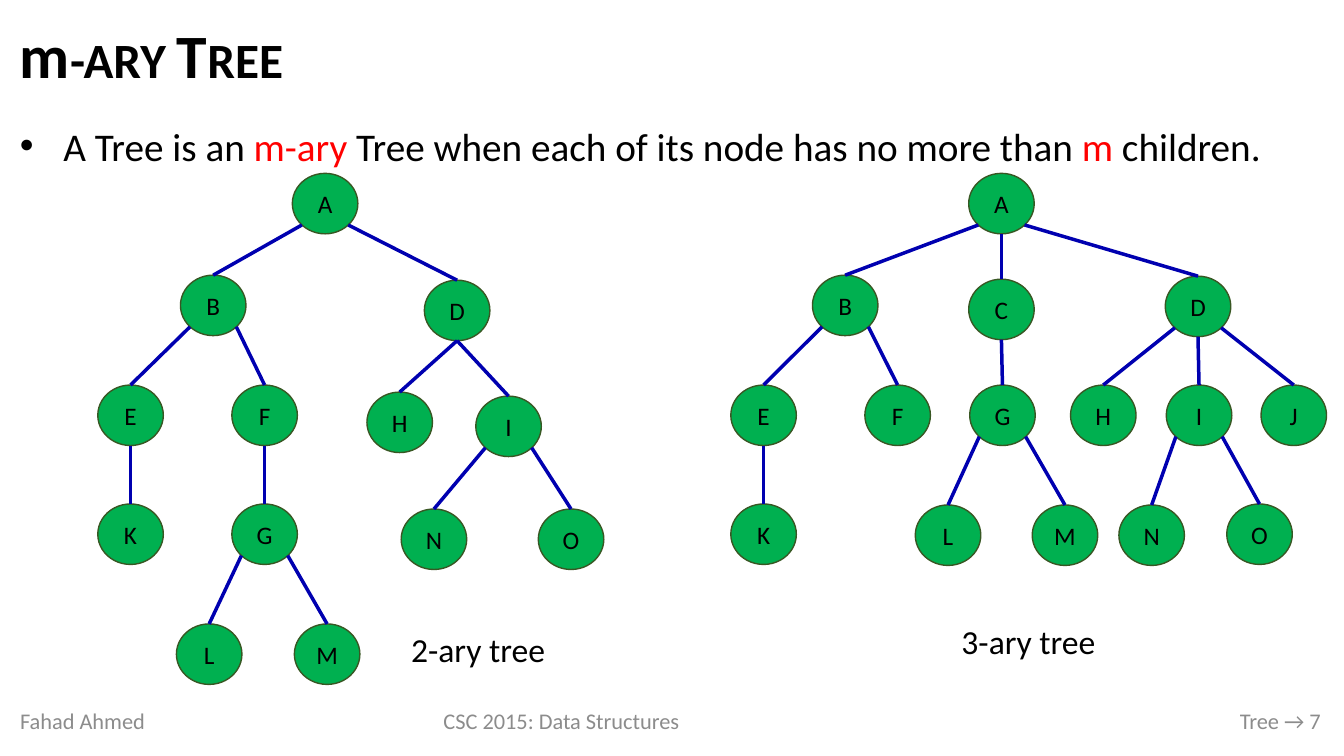
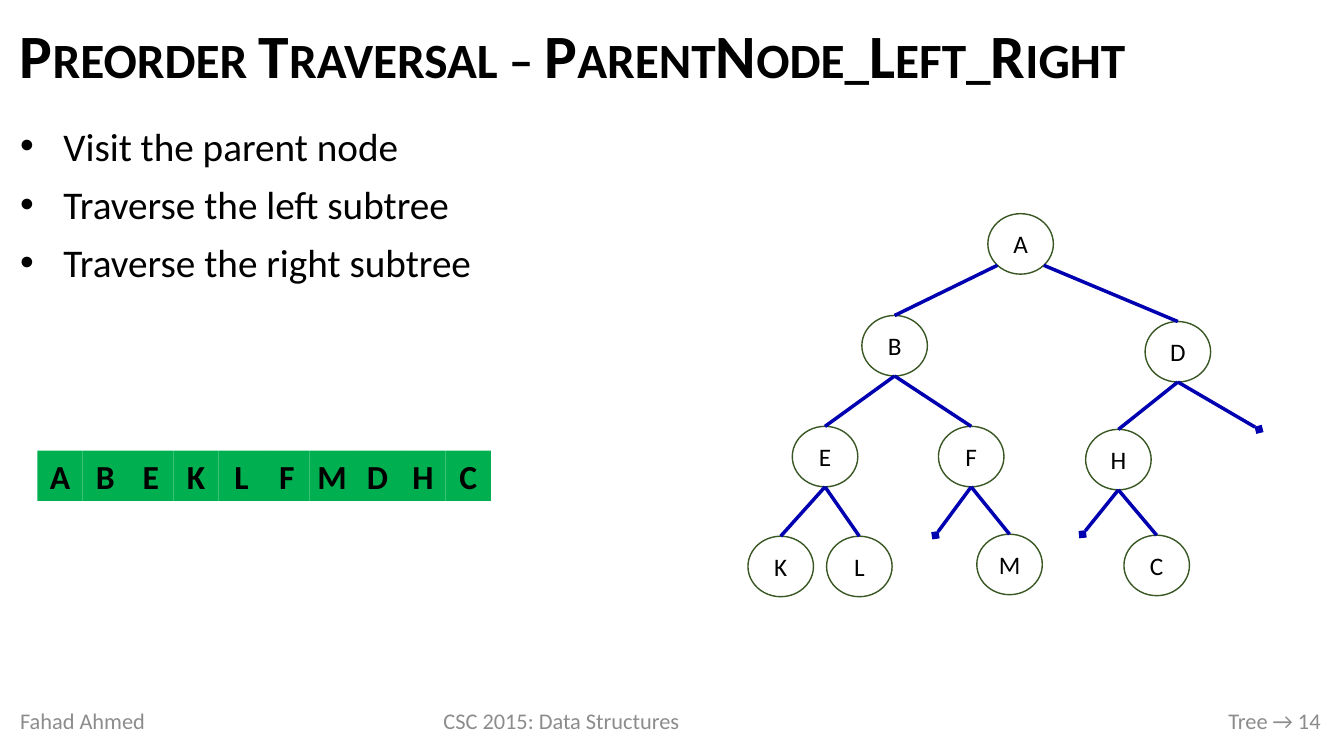
from dataclasses import dataclass
from typing import Any, NamedTuple, Optional

import pptx
import pptx.dml.color
import pptx.enum.shapes
import pptx.enum.text
import pptx.oxml
import pptx.oxml.ns
import pptx.util

# The grid has ten columns and ten rows to the inch.
CELL = 0.1
SLIDE_COLUMNS, SLIDE_ROWS = 133.33, 75

BLACK, RED, GREY = "000000", "FF0000", "8C8C8C"
GREEN, DARK_GREEN, BLUE = "00B050", "385723", "0000B0"
FONT = "Calibri"

NODE_WIDTH, NODE_HEIGHT = 6.5, 6
DIAGONAL = 0.5 ** 0.5 / 2
# Where an edge leaves its parent, as shares of the node's size.
EDGE_STARTS = {
    "<": (0.5 - DIAGONAL, 0.5 + DIAGONAL),
    "|": (0.5, 1),
    ">": (0.5 + DIAGONAL, 0.5 + DIAGONAL),
}

ALIGN = pptx.enum.text.PP_ALIGN
ANCHOR = pptx.enum.text.MSO_ANCHOR
SHAPE = pptx.enum.shapes.MSO_SHAPE


class Span(NamedTuple):
    text: str
    color: str = BLACK
    small_caps: bool = False


class Box(NamedTuple):
    left: float
    top: float
    width: float
    height: float


class Point(NamedTuple):
    column: float
    row: float


class Footer(NamedTuple):
    box: Box
    alignment: Any
    text: str


@dataclass(frozen=True)
class Tree:
    """Nodes by label, edges as parent, start side and child, and empty links."""
    nodes: dict[str, Point]
    edges: str
    fill: Optional[str] = GREEN
    empty_links: tuple[tuple[str, Point], ...] = ()


TITLE_BOX = Box(1, 1.1, 131, 9.5)
FOOTERS = (
    Footer(Box(1, 69.5, 24.1, 4), ALIGN.LEFT, "Fahad Ahmed"),
    Footer(Box(38.9, 69.5, 33.6, 4), ALIGN.CENTER, "CSC 2015: Data Structures"),
    Footer(Box(77.1, 69.5, 54.9, 4), ALIGN.RIGHT, "Tree → {number}"),
)

BINARY_TREE = Tree(
    nodes={
        "A": Point(29, 17.2),
        "B": Point(17.9, 27.3), "D": Point(42.1, 27.8),
        "E": Point(9.7, 38.2), "F": Point(23, 38.2),
        "H": Point(36.4, 38.9), "I": Point(47.2, 39.3),
        "K": Point(9.7, 50), "G": Point(23, 50),
        "N": Point(39.8, 50.5), "O": Point(53.4, 50.5),
        "L": Point(17.5, 61.9), "M": Point(29.2, 61.9),
    },
    edges="A<B A>D B<E B>F D|H D|I E|K F|G I<N I>O G<L G>M",
)
TERNARY_TREE = Tree(
    nodes={
        "A": Point(96.1, 17.2),
        "B": Point(80.6, 27.3), "C": Point(96.1, 27.7), "D": Point(115.6, 27.4),
        "E": Point(72.5, 38.2), "F": Point(85.8, 38.2), "G": Point(96.2, 38.2),
        "H": Point(106.2, 38.2), "I": Point(115.7, 38.2), "J": Point(125.1, 38.2),
        "K": Point(72.5, 50), "L": Point(90.8, 50.1), "M": Point(102.4, 50.1),
        "N": Point(111, 50.1), "O": Point(121.7, 50),
    },
    edges="A<B A|C A>D B<E B>F C|G D<H D|I D>J E|K G<L G>M I<N I>O",
)
TRAVERSED_TREE = Tree(
    nodes={
        "A": Point(98, 21.2),
        "B": Point(85.5, 31.3), "D": Point(113.6, 31.9),
        "E": Point(78.6, 42.3), "F": Point(93.1, 42.3), "H": Point(107.7, 42.6),
        "K": Point(74.2, 53.2), "L": Point(82, 53.2),
        "M": Point(96.9, 53), "C": Point(111.5, 53.1),
    },
    edges="A<B A>D B|E B|F D|H E|K E|L F|M H|C",
    fill=None,
    empty_links=(
        ("F", Point(92.8, 53.1)),
        ("D", Point(124.9, 42.6)),
        ("H", Point(107.4, 53)),
    ),
)


def grid(*cells: float) -> list[int]:
    return [pptx.util.Inches(cell * CELL) for cell in cells]


def rgb(color: str) -> pptx.dml.color.RGBColor:
    return pptx.dml.color.RGBColor.from_string(color)


def apply(target: Any, values: dict[str, Any]) -> None:
    for name, value in values.items():
        setattr(target, name, value)


def add_element(parent: Any, tag: str, **attributes: str) -> Any:
    element = pptx.oxml.parse_xml(f"<a:{tag} {pptx.oxml.ns.nsdecls('a')}/>")
    for name, value in attributes.items():
        element.set(name, value)
    parent.append(element)
    return element


def write_spans(paragraph: Any, spans: list[Span], size: float, bold: bool = False) -> None:
    for span in spans:
        run = paragraph.add_run()
        run.text = span.text
        apply(run.font, {"name": FONT, "size": pptx.util.Pt(size), "bold": bold})
        run.font.color.rgb = rgb(span.color)
        if span.small_caps:
            run._r.get_or_add_rPr().set("cap", "small")


def add_text(slide: Any, box: Box, spans: list[Span], size: float, bold: bool = False,
             anchor: Any = ANCHOR.TOP, **paragraph_format: Any) -> None:
    frame = slide.shapes.add_textbox(*grid(*box)).text_frame
    apply(frame, {"word_wrap": True, "vertical_anchor": anchor})
    paragraph = frame.paragraphs[0]
    apply(paragraph, paragraph_format)
    write_spans(paragraph, spans, size, bold)


def add_bullets(slide: Any, box: Box, items: list[list[Span]]) -> None:
    frame = slide.shapes.add_textbox(*grid(*box)).text_frame
    frame.word_wrap = True
    gap = pptx.util.Pt(4)
    indent = pptx.util.Inches(0.43)
    for index, spans in enumerate(items):
        paragraph = frame.add_paragraph() if index else frame.paragraphs[0]
        apply(paragraph, {"alignment": ALIGN.JUSTIFY, "space_before": gap, "space_after": gap})
        properties = paragraph._p.get_or_add_pPr()
        properties.set("marL", str(indent))
        properties.set("indent", str(-indent))
        add_element(add_element(properties, "buClr"), "srgbClr", val=BLACK)
        add_element(properties, "buFont", typeface="Arial")
        add_element(properties, "buChar", char="•")
        write_spans(paragraph, spans, 28)


def add_letter(slide: Any, kind: Any, box: Box, letter: str, size: float,
               fill: Optional[str], outline: Optional[str] = None, bold: bool = False) -> None:
    """Draw a shape with one centred letter."""
    shape = slide.shapes.add_shape(kind, *grid(*box))
    shape.shadow.inherit = False
    for part, color in ((shape.fill, fill), (shape.line.fill, outline)):
        if color is None:
            part.background()
        else:
            part.solid()
            part.fore_color.rgb = rgb(color)
    if outline:
        shape.line.width = pptx.util.Pt(1)
    margins = dict.fromkeys(("margin_left", "margin_right", "margin_top", "margin_bottom"), 0)
    apply(shape.text_frame, {"vertical_anchor": ANCHOR.MIDDLE, **margins})
    paragraph = shape.text_frame.paragraphs[0]
    paragraph.alignment = ALIGN.CENTER
    write_spans(paragraph, [Span(letter)], size, bold)


def add_edge(slide: Any, start: Point, end: Point, empty: bool = False) -> None:
    edge = slide.shapes.add_connector(
        pptx.enum.shapes.MSO_CONNECTOR.STRAIGHT, *grid(*start, *end))
    edge.line.width = pptx.util.Pt(2.5)
    edge.line.color.rgb = rgb(BLUE)
    if empty:
        add_element(edge.line._get_or_add_ln(), "tailEnd", type="diamond")
    add_element(edge._element.spPr, "effectLst")


def on_node(node: Point, across: float, down: float) -> Point:
    return Point(node.column + across * NODE_WIDTH, node.row + down * NODE_HEIGHT)


def draw_tree(slide: Any, tree: Tree) -> None:
    for label, node in tree.nodes.items():
        add_letter(slide, SHAPE.OVAL, Box(*node, NODE_WIDTH, NODE_HEIGHT), label, 18,
                   tree.fill, DARK_GREEN)
    for parent, side, child in tree.edges.split():
        add_edge(slide, on_node(tree.nodes[parent], *EDGE_STARTS[side]),
                 on_node(tree.nodes[child], 0.5, 0))
    for parent, end in tree.empty_links:
        add_edge(slide, on_node(tree.nodes[parent], *EDGE_STARTS["|"]), end, empty=True)


def add_lecture_slide(deck: Any, title: list[Span], number: int) -> Any:
    """Add a blank slide with the shared title and footers."""
    slide = deck.slides.add_slide(deck.slide_layouts[6])
    add_text(slide, TITLE_BOX, title, 44, bold=True, anchor=ANCHOR.MIDDLE, line_spacing=0.9)
    for footer in FOOTERS:
        add_text(slide, footer.box, [Span(footer.text.format(number=number), GREY)], 16,
                 anchor=ANCHOR.MIDDLE, alignment=footer.alignment)
    return slide


def add_m_ary_slide(deck: Any) -> None:
    slide = add_lecture_slide(deck, [Span("m"), Span("-ary Tree", small_caps=True)], 7)
    add_bullets(slide, Box(1, 11.6, 131, 6.5), [[
        Span("A Tree is an "), Span("m-ary ", RED),
        Span("Tree when each of its node has no more than "),
        Span("m ", RED), Span("children."),
    ]])
    for tree, caption, corner in (
        (TERNARY_TREE, "3-ary tree", Point(94.4, 61.1)),
        (BINARY_TREE, "2-ary tree", Point(39.8, 61.9)),
    ):
        draw_tree(slide, tree)
        add_text(slide, Box(*corner, 15.4, 5), [Span(caption)], 24)


def add_preorder_slide(deck: Any) -> None:
    title = Span("Preorder Traversal – ParentNode_Left_Right", small_caps=True)
    slide = add_lecture_slide(deck, [title], 14)
    steps = ("Visit the parent node", "Traverse the left subtree", "Traverse the right subtree")
    add_bullets(slide, Box(1, 11.6, 48.8, 20.2), [[Span(step)] for step in steps])
    draw_tree(slide, TRAVERSED_TREE)
    visit_width = 4.5
    for position, label in enumerate("ABEKLFMDHC"):
        box = Box(3.7 + position * visit_width, 44.7, visit_width, 5)
        add_letter(slide, SHAPE.RECTANGLE, box, label, 24, GREEN, bold=True)


def main() -> None:
    deck = pptx.Presentation()
    deck.slide_width, deck.slide_height = grid(SLIDE_COLUMNS, SLIDE_ROWS)
    add_m_ary_slide(deck)
    add_preorder_slide(deck)
    deck.save("out.pptx")


if __name__ == "__main__":
    main()
